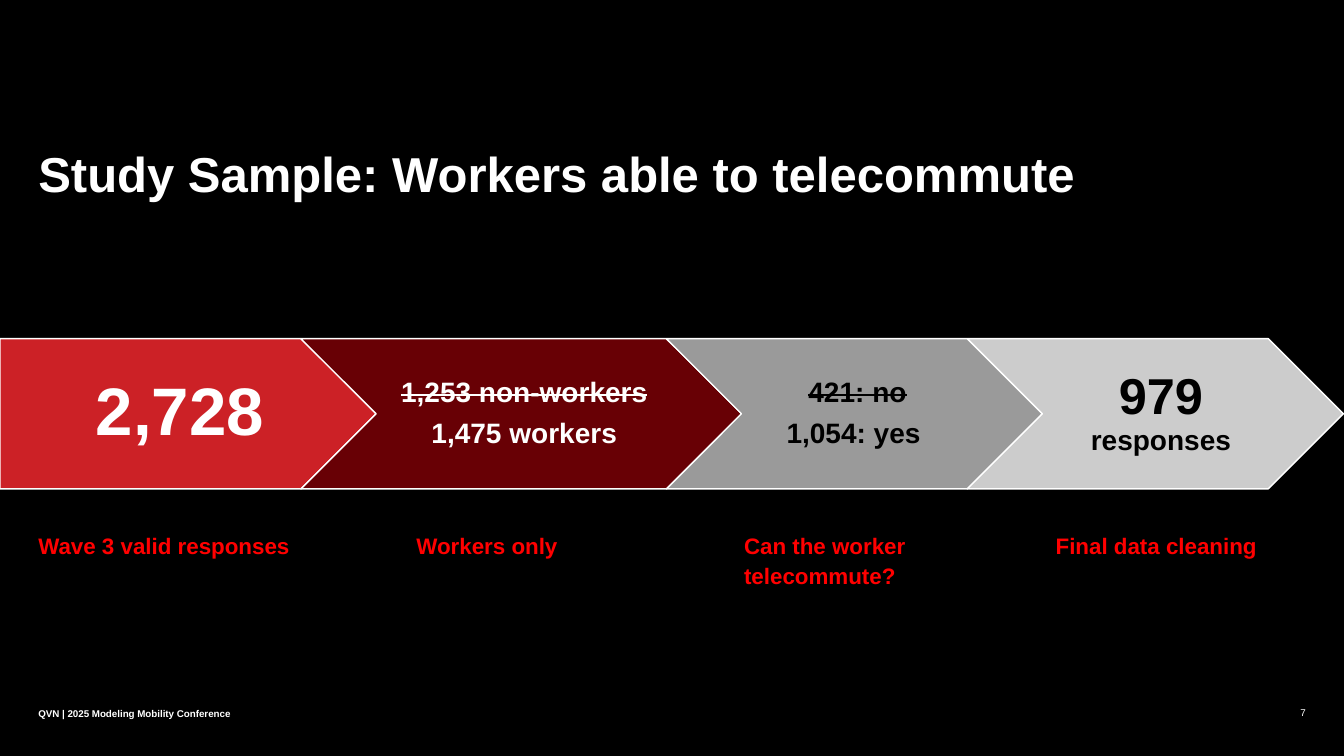
from pptx import Presentation
from pptx.dml.color import RGBColor
from pptx.enum.shapes import MSO_SHAPE
from pptx.enum.text import MSO_ANCHOR, PP_ALIGN
from pptx.util import Inches, Pt

PENTAGON, CHEVRON = MSO_SHAPE.PENTAGON, MSO_SHAPE.CHEVRON
TOP, MIDDLE, BOTTOM = MSO_ANCHOR.TOP, MSO_ANCHOR.MIDDLE, MSO_ANCHOR.BOTTOM
LEFT, CENTER, RIGHT = PP_ALIGN.LEFT, PP_ALIGN.CENTER, PP_ALIGN.RIGHT
WHITE, BLACK, RED = "FFFFFF", "000000", "FF0000"

BAND_TOP, BAND_HEIGHT = 3.36, 1.49
TIP = BAND_HEIGHT / 2
MARGIN = 0.38

# Each step: width, fill, text colour, insets, lines of (text, size, struck) runs
STEPS = [
    (3.73, "CC2126", WHITE, (0.28, 0.14, 0.07, 0.14), [[("2,728", 48, False)]]),
    (4.37, "680005", WHITE, (0.09, 0.06, 0.03, 0.06),
     [[("1,253 non-workers", 20, True)], [("1,475 workers", 20, False)]]),
    (3.73, "9A9A9A", BLACK, (0.09, 0.06, 0.03, 0.06),
     [[("421: no", 20, True)], [("1,054: yes ", 20, False)]]),
    (3.73, "CCCCCC", BLACK, (0.16, 0.1, 0.05, 0.1),
     [[("979", 36, False), (" responses", 20, False)]]),
]

# Each label: left, width, text
LABELS = [
    (MARGIN, 2.86, "Wave 3 valid responses"),
    (4.13, 2.87, "Workers only"),
    (7.38, 2.87, "Can the worker telecommute?"),
    (10.47, 2.32, "Final data cleaning"),
]


def color(code):
    return RGBColor.from_string(code)


def add_run(para, text, size, hue, bold=True, struck=False):
    run = para.add_run()
    run.text = text
    font = run.font
    font.name, font.size, font.bold = "Arial", Pt(size), bold
    font.color.rgb = color(hue)
    if struck:
        run._r.get_or_add_rPr().set("strike", "sngStrike")


def add_frame(slide, left, top, width, height, anchor=TOP, insets=(0, 0, 0, 0)):
    box = slide.shapes.add_textbox(*map(Inches, (left, top, width, height)))
    frame = box.text_frame
    frame.word_wrap = True
    frame.vertical_anchor = anchor
    (frame.margin_left, frame.margin_top,
     frame.margin_right, frame.margin_bottom) = map(Inches, insets)
    return frame


def add_line(slide, area, text, size, hue, bold=True, align=LEFT,
             spacing=1.12, after=7, anchor=TOP):
    para = add_frame(slide, *area, anchor=anchor).paragraphs[0]
    para.alignment, para.line_spacing = align, spacing
    para.space_after = Pt(after)
    add_run(para, text, size, hue, bold)


def add_arrow(slide, kind, left, width, fill):
    arrow = slide.shapes.add_shape(
        kind, *map(Inches, (left, BAND_TOP, width, BAND_HEIGHT)))
    arrow.shadow.inherit = False
    arrow.fill.solid()
    arrow.fill.fore_color.rgb = color(fill)
    arrow.line.color.rgb = color(WHITE)
    arrow.line.width = Pt(1)


def add_step(slide, left, first, width, fill, hue, insets, lines):
    add_arrow(slide, PENTAGON if first else CHEVRON, left, width, fill)
    # Text keeps clear of the notch and the point
    start = left if first else left + TIP
    room = width - TIP / 2 if first else width - 2 * TIP
    frame = add_frame(slide, start, BAND_TOP, room, BAND_HEIGHT, MIDDLE, insets)
    for index, runs in enumerate(lines):
        para = frame.add_paragraph() if index else frame.paragraphs[0]
        para.alignment, para.line_spacing = CENTER, 0.9
        para.space_after = Pt(8)
        for text, size, struck in runs:
            add_run(para, text, size, hue, struck=struck)


def main():
    deck = Presentation()
    deck.slide_width, deck.slide_height = Inches(13.33), Inches(7.5)
    slide = deck.slides.add_slide(deck.slide_layouts[6])
    slide.background.fill.solid()
    slide.background.fill.fore_color.rgb = color(BLACK)

    # Title
    add_line(slide, (MARGIN, 1.5, 12.58, 1.06),
             "Study Sample: Workers able to telecommute", 35, WHITE,
             spacing=0.88, after=0)

    # Band of interlocking arrows
    left = 0
    for index, step in enumerate(STEPS):
        add_step(slide, left, index == 0, *step)
        left += step[0] - TIP

    # Labels under the band
    for start, width, text in LABELS:
        add_line(slide, (start, 5.25, width, 1.5), text, 16, RED)

    # Footer
    add_line(slide, (12.25, 7.01, 0.7, 0.12), "7", 7, WHITE, bold=False,
             align=RIGHT, spacing=1.0, after=0, anchor=BOTTOM)
    add_line(slide, (MARGIN, 7.01, 6.27, 0.12),
             "QVN | 2025 Modeling Mobility Conference", 7, WHITE)

    deck.save("out.pptx")


if __name__ == "__main__":
    main()
